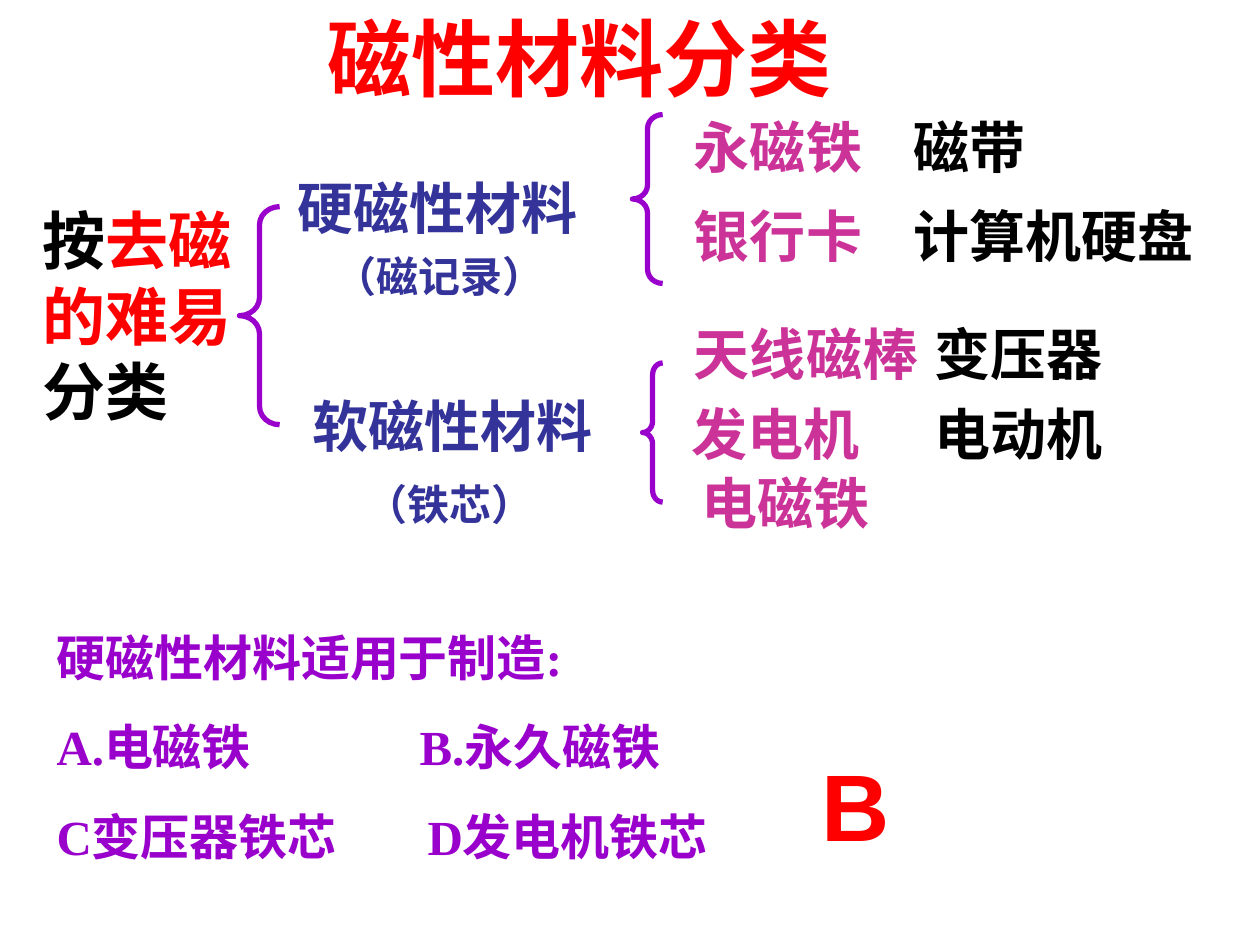
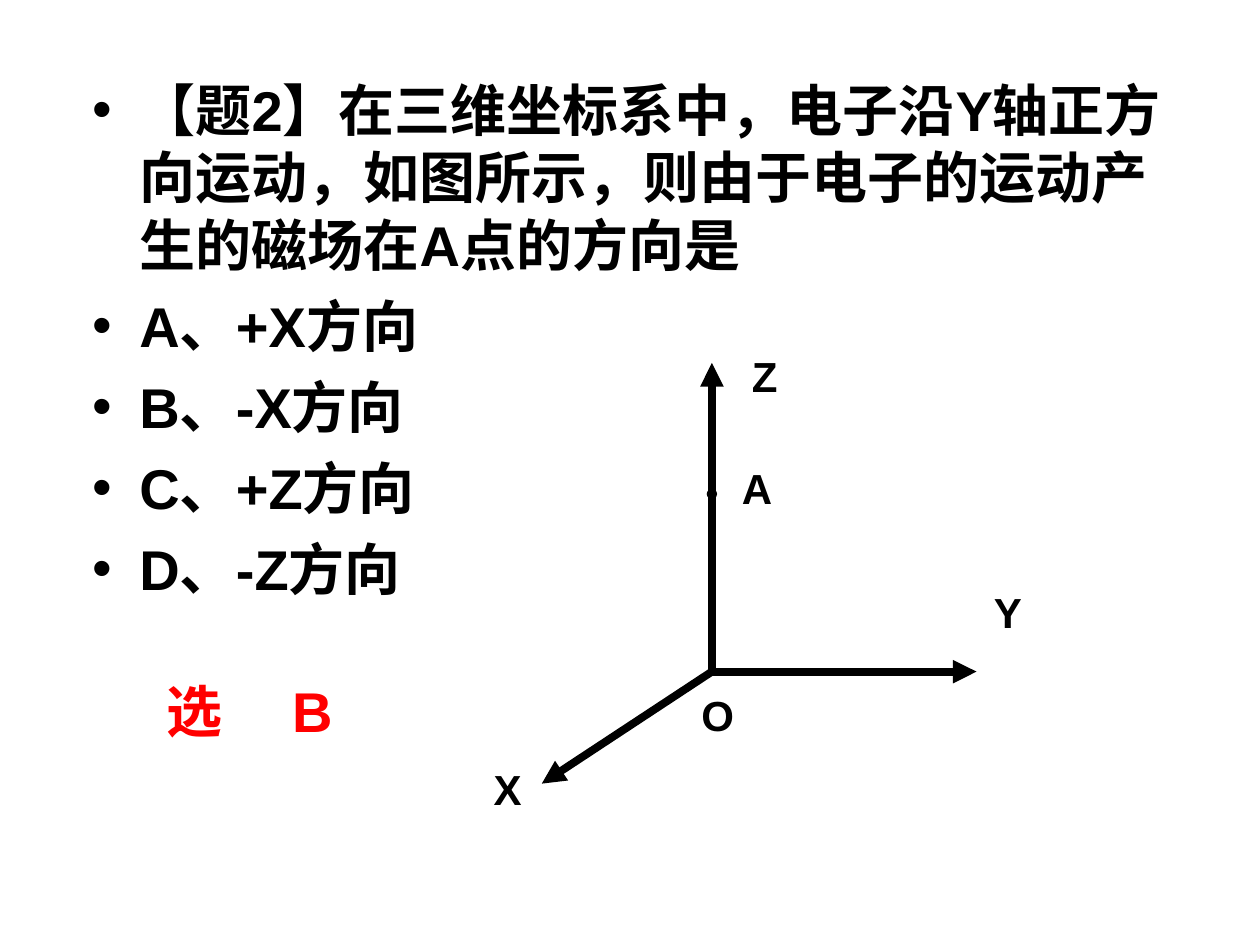
from lxml import etree
from pptx import Presentation
from pptx.dml.color import RGBColor
from pptx.enum.shapes import MSO_CONNECTOR, MSO_SHAPE
from pptx.enum.text import MSO_ANCHOR, MSO_AUTO_SIZE, PP_ALIGN
from pptx.oxml.ns import qn
from pptx.util import Pt

STRAIGHT = MSO_CONNECTOR.STRAIGHT
LEFT_BRACE = MSO_SHAPE.LEFT_BRACE
TOP = MSO_ANCHOR.TOP
CENTER = PP_ALIGN.CENTER
NO_AUTOFIT = MSO_AUTO_SIZE.NONE

BLACK = RGBColor(0x00, 0x00, 0x00)
RED = RGBColor(0xFF, 0x00, 0x00)
BLUE = RGBColor(0x33, 0x33, 0x99)
PINK = RGBColor(0xCC, 0x33, 0x99)
PURPLE = RGBColor(0x99, 0x00, 0xCC)

SERIF = "Times New Roman"
SANS = "Arial"
LINE_HEIGHT = 46


def format_span(span, size, color, font):
    span.font.size = Pt(size)
    span.font.bold = True
    span.font.name = font
    span.font.color.rgb = color


def format_text(frame, size, color, font):
    for para in frame.paragraphs:
        for span in para.runs:
            format_span(span, size, color, font)


def place(shape, left, top, width, height):
    shape.left, shape.top = Pt(left), Pt(top)
    shape.width, shape.height = Pt(width), Pt(height)


def add_text(shapes, box, text, size, color, font=SERIF, wrap=True):
    frame = shapes.add_textbox(*map(Pt, box)).text_frame
    frame.word_wrap = wrap
    frame.text = text
    format_text(frame, size, color, font)
    return frame


def add_tab(para, position):
    tabs = etree.SubElement(para._p.get_or_add_pPr(), qn("a:tabLst"))
    etree.SubElement(tabs, qn("a:tab"), pos=str(Pt(position)), algn="l")


def add_brace(page, left, top, width, height):
    brace = page.shapes.add_shape(LEFT_BRACE, Pt(left), Pt(top), Pt(width), Pt(height))
    brace.adjustments[0] = height / 12 / width
    brace.shadow.inherit = False
    brace.fill.background()
    brace.line.color.rgb = PURPLE
    brace.line.width = Pt(3)


def add_title(page, text):
    title = page.shapes.title
    place(title, 110, 0, 442, 65)
    frame = title.text_frame
    frame.auto_size = NO_AUTOFIT
    frame.vertical_anchor = TOP
    frame.text = text
    frame.paragraphs[0].alignment = CENTER
    format_text(frame, 48, RED, SERIF)


def add_criterion(page, left, top):
    frame = add_text(page.shapes, (left, top, 130, 137), "", 36, BLACK)
    for text, color in (("按", BLACK), ("去磁的难易", RED), ("分类", BLACK)):
        span = frame.paragraphs[0].add_run()
        span.text = text
        format_span(span, 36, color, SERIF)
    add_brace(page, left + 119.5, top + 6.5, 23, 124.6)


def add_material(page, left, top, name, note, note_offset):
    add_text(page.shapes, (left, top, 187, LINE_HEIGHT), name, 32, BLUE)
    across, down = note_offset
    add_text(page.shapes, (left + across, top + down, 164, 36), note, 24, BLUE, SANS)


def add_examples(page, brace_box, second_column, rows):
    """Brace with rows of (left, top, first example, second example) beside it."""
    add_brace(page, *brace_box)
    for left, top, first, second in rows:
        add_text(page.shapes, (left, top, 180, LINE_HEIGHT), first, 32, PINK)
        if second:
            add_text(page.shapes, (second_column, top, 202, LINE_HEIGHT), second, 32, BLACK)


def add_question(page, left, top):
    frame = add_text(
        page.shapes, (left, top, 652, 143),
        "硬磁性材料适用于制造:\nA.电磁铁\tB.永久磁铁\nC变压器铁芯\tD发电机铁芯",
        28, PURPLE)
    for para, tab in zip(frame.paragraphs[1:], (207.5, 212)):
        para.space_before = Pt(17.5)
        add_tab(para, tab)
    add_text(page.shapes, (left + 437, top + 68.4, 210, 72), "B", 54, RED, SANS)


def build_classification(deck):
    page = deck.slides.add_slide(deck.slide_layouts.get_by_name("Title Only"))
    add_title(page, "磁性材料分类")
    add_criterion(page, 17.3, 111.6)
    add_material(page, 162.7, 95.8, "硬磁性材料", "（磁记录）", (21.6, 44))
    add_material(page, 171.4, 220.3, "软磁性材料", "（铁芯）", (30.2, 49.7))
    add_examples(page, (361.4, 65.5, 17.3, 96.5), 514.8, (
        (389.5, 60.5, "永磁铁", "磁带"),
        (389.5, 111.6, "银行卡", "计算机硬盘")))
    add_examples(page, (367.2, 207.4, 11.5, 79.5), 527, (
        (389.5, 179.3, "天线磁棒", "变压器"),
        (388, 224.6, "发电机", "电动机"),
        (393.8, 264.2, "电磁铁", None)))
    add_question(page, 25.2, 355)


def add_problem(page, box):
    body = page.placeholders[1]
    place(body, *box)
    frame = body.text_frame
    frame.auto_size = NO_AUTOFIT
    frame.text = "\n".join((
        "【题2】在三维坐标系中，电子沿Y轴正方向运动，如图所示，则由于电子的运动产生的磁场在A点的方向是",
        "A、+X方向", "B、-X方向", "C、+Z方向", "D、-Z方向"))
    for para in frame.paragraphs[1:]:
        para.space_before = Pt(8)
    format_text(frame, 32, BLACK, SANS)


def add_axis(shapes, start, end, width, head):
    axis = shapes.add_connector(STRAIGHT, *map(Pt, start + end))
    axis.line.color.rgb = BLACK
    axis.line.width = Pt(width)
    etree.SubElement(axis.line._get_or_add_ln(), qn("a:tailEnd"), type=head)
    etree.SubElement(axis._element.spPr, qn("a:effectLst"))


def add_axes(page, left, top):
    """Axes whose origin is at left, top; all offsets are from the origin."""
    shapes = page.shapes.add_group_shape().shapes
    for across, down, width, head in (
            (151.2, 0, 4.5, "triangle"),
            (-97.2, 64, 4.5, "triangle"),
            (0, -176.4, 4.5, "triangle"),
            (0, -101.5, 0.75, "oval")):
        add_axis(shapes, (left, top), (left + across, top + down), width, head)
    for name, across, down, width in (
            ("Y", 154, -52, 30),
            ("X", -131.8, 49, 30),
            ("Z", 15.8, -187.2, 29),
            ("O", -13, 6.5, 33),
            ("A", 10, -123.2, 32)):
        add_text(shapes, (left + across, top + down, width, 36), name, 24, BLACK, SANS, False)


def add_answer(page, left, top):
    frame = add_text(page.shapes, (left, top, 176, LINE_HEIGHT), "选\tB", 32, RED, SANS)
    add_tab(frame.paragraphs[0], 72)


def build_problem(deck):
    page = deck.slides.add_slide(deck.slide_layouts.get_by_name("Title and Content"))
    title = page.shapes.title._element
    title.getparent().remove(title)
    add_problem(page, (45.4, 39.6, 648, 356.4))
    add_axes(page, 406.8, 383.8)
    add_answer(page, 87.8, 383)


def main():
    deck = Presentation()
    deck.slide_width, deck.slide_height = Pt(720), Pt(540)
    build_classification(deck)
    build_problem(deck)
    deck.save("out.pptx")


if __name__ == "__main__":
    main()
